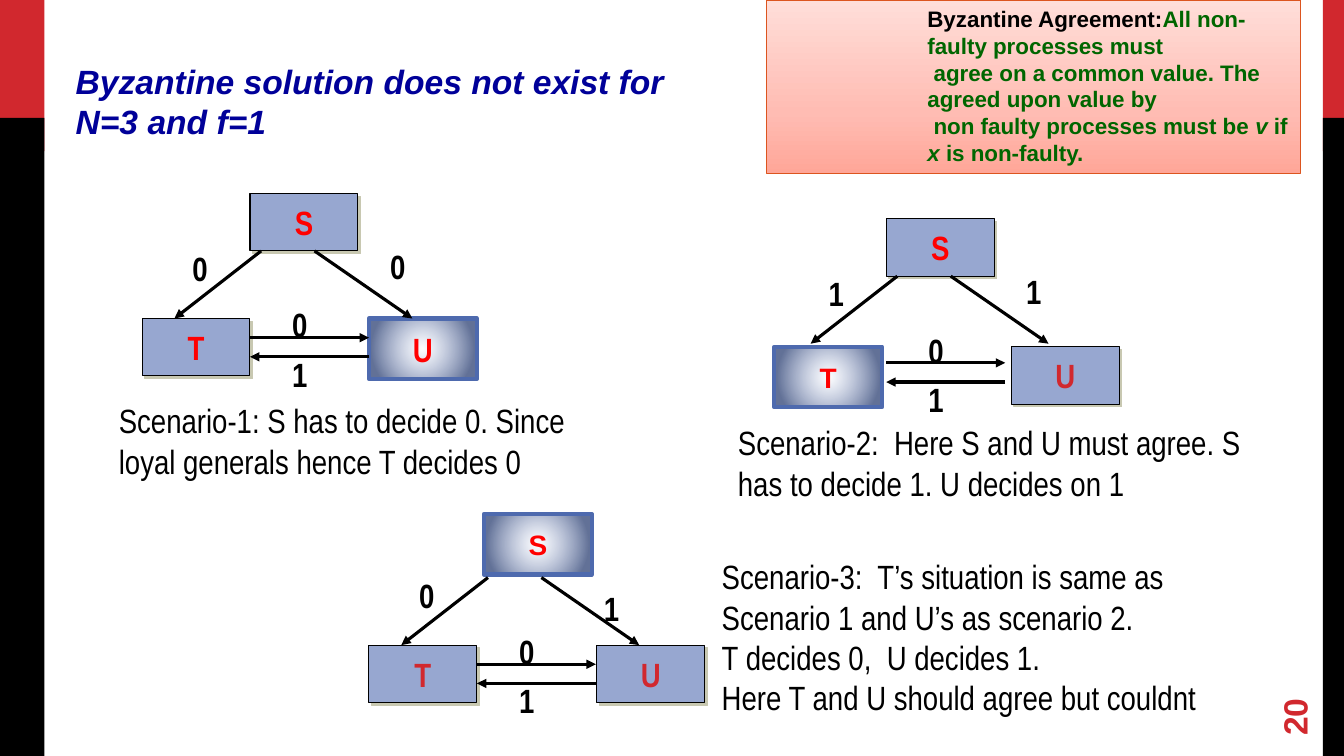
from lxml import etree
from pptx import Presentation
from pptx.dml.color import RGBColor
from pptx.enum.shapes import MSO_CONNECTOR, MSO_SHAPE
from pptx.enum.text import MSO_ANCHOR, MSO_AUTO_SIZE, PP_ALIGN
from pptx.oxml import parse_xml
from pptx.oxml.ns import qn
from pptx.util import Inches, Pt

RECTANGLE = MSO_SHAPE.RECTANGLE
STRAIGHT = MSO_CONNECTOR.STRAIGHT
TOP, MIDDLE = MSO_ANCHOR.TOP, MSO_ANCHOR.MIDDLE
GROW = MSO_AUTO_SIZE.SHAPE_TO_FIT_TEXT
FIXED = MSO_AUTO_SIZE.NONE
LEFT, CENTER = PP_ALIGN.LEFT, PP_ALIGN.CENTER

DRAWING_NS = "http://schemas.openxmlformats.org/drawingml/2006/main"
NARROW, WIDE = "Arial Narrow", "Arial"
BLACK, RED, CRIMSON, GREEN, NAVY = "000000", "FF0000", "D1282E", "006600", "000099"

# Gradient stops: position %, colour, opacity %
FAULTY_STOPS = [(0, "48619E", 100), (0, "48619E", 100), (0, "7389BF", 0), (82, "394C7C", 78)]
CALLOUT_STOPS = [(0, "FFA698", 100), (35, "FFBCB3", 100), (100, "FFDED9", 100)]
RADIAL = '<a:path path="circle"><a:fillToRect l="50000" t="50000" r="50000" b="50000"/></a:path>'
UPWARD = '<a:lin ang="16200000" scaled="0"/>'

# Arrows of a triangle, relative to the corner of its top node
ARROWS = [
    ((0.11, 0.57), (-0.75, 1.24)),
    ((0.64, 0.57), (1.61, 1.24)),
    ((0, 1.43), (1.18, 1.43)),
    ((1.18, 1.62), (0, 1.62)),
]


def color(hex_code):
    return RGBColor.from_string(hex_code)


def add_run(para, text, size, hex_code, font=NARROW, bold=False, italic=False):
    span = para.add_run()
    span.text = text
    span.font.name, span.font.size = font, Pt(size)
    span.font.bold, span.font.italic = bold, italic
    span.font.color.rgb = color(hex_code)


def add_lines(para, lines, *style, **options):
    """Fill one paragraph with lines parted by line breaks."""
    for index, line in enumerate(lines):
        if index:
            para.add_line_break()
        add_run(para, line, *style, **options)


def add_text_box(page, left, top, width, height, wrap=True):
    box = page.shapes.add_textbox(Inches(left), Inches(top), Inches(width), Inches(height))
    box.text_frame.word_wrap = wrap
    box.text_frame.auto_size = GROW
    return box


def add_rectangle(page, left, top, width, height, fill=None, line=None, weight=1):
    box = page.shapes.add_shape(RECTANGLE, Inches(left), Inches(top), Inches(width), Inches(height))
    box.shadow.inherit = False
    if fill:
        box.fill.solid()
        box.fill.fore_color.rgb = color(fill)
    if line:
        box.line.color.rgb = color(line)
        box.line.width = Pt(weight)
    else:
        box.line.fill.background()
    return box


def set_gradient(box, stops, direction):
    stop_xml = "".join(
        f'<a:gs pos="{position * 1000}"><a:srgbClr val="{hex_code}">'
        f'<a:alpha val="{opacity * 1000}"/></a:srgbClr></a:gs>'
        for position, hex_code, opacity in stops
    )
    gradient = parse_xml(
        f'<a:gradFill xmlns:a="{DRAWING_NS}" rotWithShape="1">'
        f"<a:gsLst>{stop_xml}</a:gsLst>{direction}</a:gradFill>"
    )
    box.fill.background()
    properties = box.element.spPr
    properties.replace(properties.find(qn("a:noFill")), gradient)


def set_hard_shadow(box, hex_code):
    effects = box.element.spPr.find(qn("a:effectLst"))
    shadow = etree.SubElement(effects, qn("a:outerShdw"), dist=str(Pt(2.8)), dir="2700000",
                              algn="ctr", rotWithShape="0")
    etree.SubElement(shadow, qn("a:srgbClr"), val=hex_code)


def add_node(page, left, top, letter, hex_code, faulty=False, font=NARROW, size=24):
    if faulty:
        box = add_rectangle(page, left, top, 1.07, 0.6, line="4E6AAE", weight=3)
        set_gradient(box, FAULTY_STOPS, RADIAL)
    else:
        box = add_rectangle(page, left, top, 1.07, 0.57, "97A7D0", BLACK, 0.75)
        set_hard_shadow(box, "C8C8B1")
    frame = box.text_frame
    frame.word_wrap, frame.vertical_anchor = False, MIDDLE
    para = frame.paragraphs[0]
    para.alignment = CENTER
    add_run(para, letter, size, hex_code, font, bold=True)


def add_arrow(page, start, end):
    arrow = page.shapes.add_connector(STRAIGHT, *(Inches(length) for length in start + end))
    arrow.line.color.rgb = color(BLACK)
    arrow.line.width = Pt(2.25)
    etree.SubElement(arrow.line._get_or_add_ln(), qn("a:tailEnd"), type="triangle")
    etree.SubElement(arrow.element.spPr, qn("a:effectLst"))


def add_triangle(page, left, top, nodes, values, right_label=(1.29, 0.47)):
    """Draw S, T and U with the values they send: S to T, S to U, T to U, U to T."""
    for across, down, *look in nodes:
        add_node(page, left + across, top + down, *look)
    for start, end in ARROWS:
        add_arrow(page, (left + start[0], top + start[1]), (left + end[0], top + end[1]))
    places = [(-0.67, 0.49), right_label, (0.32, 1.05), (0.32, 1.54)]
    for (across, down), value in zip(places, values):
        label = add_text_box(page, left + across, top + down, 0.36, 0.5, wrap=False)
        add_run(label.text_frame.paragraphs[0], value, 24, BLACK, bold=True)


def add_scenario(page, left, top, width, height, paragraphs, wrap=True):
    frame = add_text_box(page, left, top, width, height, wrap).text_frame
    for index, lines in enumerate(paragraphs):
        para = frame.add_paragraph() if index else frame.paragraphs[0]
        add_lines(para, lines, 24, BLACK)


def add_title(page):
    title = page.shapes.title
    title.left, title.top, title.width, title.height = map(Inches, (0.65, 0.55, 6.64, 0.91))
    frame = title.text_frame
    frame.word_wrap, frame.auto_size, frame.vertical_anchor = True, GROW, TOP
    para = frame.paragraphs[0]
    para.alignment = LEFT
    add_lines(para, ["Byzantine solution does not exist for", "N=3 and f=1"],
              24, NAVY, font=WIDE, bold=True, italic=True)


def add_callout(page):
    box = add_rectangle(page, 7.6, 0, 5.3, 1.72, line="DC551F")
    set_gradient(box, CALLOUT_STOPS, UPWARD)
    frame = box.text_frame
    frame.word_wrap, frame.auto_size, frame.vertical_anchor = True, GROW, TOP
    # Each span: text, colour, italic
    paragraphs = [
        [("Byzantine Agreement:", BLACK, False), ("All non-faulty processes must", GREEN, False)],
        [(" agree on a common value. The agreed upon value by", GREEN, False)],
        [(" non faulty processes must be ", GREEN, False), ("v", GREEN, True),
         (" if ", GREEN, False), ("x", GREEN, True), (" is non-faulty.", GREEN, False)],
    ]
    for index, spans in enumerate(paragraphs):
        para = frame.add_paragraph() if index else frame.paragraphs[0]
        para.alignment, para.level = LEFT, 3
        properties = para._p.get_or_add_pPr()
        properties.set("marL", str(Inches(1.5)))
        properties.set("indent", "0")
        for text, hex_code, italic in spans:
            add_run(para, text, 16, hex_code, WIDE, bold=True, italic=italic)


def add_page_number(page):
    box = add_text_box(page, 12.45, 6.86, 0.77, 0.33)
    box.rotation = 270
    frame = box.text_frame
    frame.auto_size, frame.vertical_anchor = FIXED, MIDDLE
    frame.margin_left = frame.margin_right = Inches(0.11)
    frame.margin_top = frame.margin_bottom = Inches(0.06)
    add_run(frame.paragraphs[0], "20", 24, CRIMSON, WIDE, bold=True)


def main():
    deck = Presentation()
    deck.slide_width, deck.slide_height = Inches(13.33), Inches(7.5)
    page = deck.slides.add_slide(deck.slide_layouts[5])

    # Side bars
    for left, width in ((13.12, 0.21), (0, 0.44)):
        add_rectangle(page, left, 0, width, 1.5, CRIMSON)
        add_rectangle(page, left, 1.17, width, 6.33, BLACK)

    add_title(page)
    add_page_number(page)

    # Scenario 1: U is faulty
    add_triangle(page, 2.48, 1.92, [(0, 0, "S", RED), (-1.07, 1.24, "T", RED),
                                    (1.18, 1.24, "U", RED, True)], "0001")
    add_scenario(page, 1.08, 3.92, 4.68, 0.91, [["Scenario-1: S has to decide 0. Since",
                                                 "loyal generals hence T decides 0"]], wrap=False)

    # Scenario 2: T is faulty
    add_triangle(page, 8.79, 2.17, [(0, 0, "S", RED), (-1.11, 1.27, "T", RED, True, WIDE, 20),
                                    (1.24, 1.27, "U", CRIMSON)], "1101")
    add_scenario(page, 7.22, 4.14, 5.22, 0.91, [
        ["Scenario-2:  Here S and U must agree. S has to decide 1. U decides on 1"]])

    # Scenario 3: S is faulty
    add_triangle(page, 4.73, 5.16, [(0.07, -0.06, "S", RED, True, WIDE, 20),
                                    (-1.07, 1.24, "T", CRIMSON), (1.19, 1.24, "U", CRIMSON)],
                 "0101", right_label=(1.16, 0.62))
    add_scenario(page, 7.06, 5.47, 5.22, 1.72, [
        ["Scenario-3:  T’s situation is same as Scenario 1 and U’s as scenario 2.",
         "T decides 0,  U decides 1."],
        ["Here T and U should agree but couldnt"]])

    add_callout(page)
    deck.save("out.pptx")


if __name__ == "__main__":
    main()
